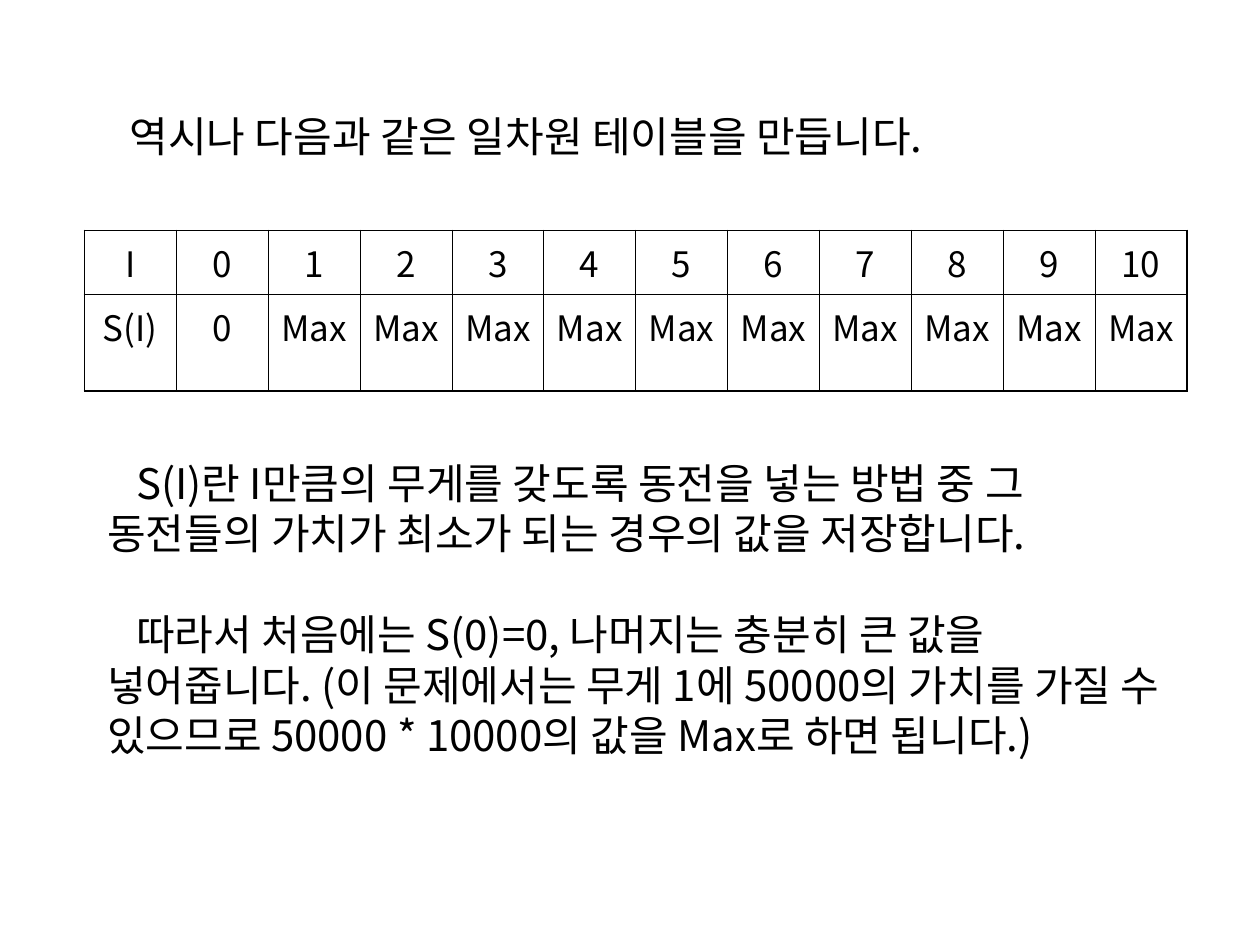
from dataclasses import dataclass

from lxml.etree import SubElement
from pptx import Presentation
from pptx.dml.color import RGBColor
from pptx.enum.text import MSO_ANCHOR, MSO_AUTO_SIZE, PP_ALIGN
from pptx.oxml.ns import qn
from pptx.util import Inches, Pt


@dataclass(frozen=True)
class Theme:
    font: str = "Noto Sans CJK KR"
    ink: str = "000000"
    body_size: float = 24
    cell_size: float = 20
    outer_line: float = 1.08
    inner_line: float = 0.45


class Lesson:
    def __init__(self, deck, theme):
        self.theme = theme
        self.page = deck.slides.add_slide(deck.slide_layouts[5])

    def style(self, para, size, align):
        para.alignment = align
        para.font.size = Pt(size)
        para.font.name = self.theme.font
        para.font.color.rgb = RGBColor.from_string(self.theme.ink)
        properties = para.font._element
        SubElement(properties, qn("a:ea")).set("typeface", self.theme.font)

    def fill_text(self, box, place, lines, indent, gap):
        box.left, box.top, box.width, box.height = map(Inches, place)
        frame = box.text_frame
        frame.word_wrap = True
        frame.auto_size = MSO_AUTO_SIZE.NONE
        frame.vertical_anchor = MSO_ANCHOR.MIDDLE
        frame.text = "\n".join(lines)
        for index, para in enumerate(frame.paragraphs):
            self.style(para, self.theme.body_size, PP_ALIGN.LEFT)
            para.space_before = Pt(gap if index else 0)
            para._p.get_or_add_pPr().set("indent", str(Inches(indent)))

    def title(self, place, lines, indent, gap):
        self.fill_text(self.page.shapes.title, place, lines, indent, gap)

    def text(self, place, line, indent):
        box = self.page.shapes.add_textbox(*map(Inches, place))
        self.fill_text(box, place, [line], indent, 0)

    def border(self, cell, edges):
        properties = cell._tc.get_or_add_tcPr()
        for position, (side, outer) in enumerate(edges.items()):
            width = self.theme.outer_line if outer else self.theme.inner_line
            line = properties.makeelement(qn(f"a:{side}"), {"w": str(Pt(width))})
            fill = SubElement(line, qn("a:solidFill"))
            SubElement(fill, qn("a:srgbClr")).set("val", self.theme.ink)
            properties.insert(position, line)

    def table(self, left, top, width, heights, rows):
        last_row, last_column = len(rows) - 1, len(rows[0]) - 1
        table = self.page.shapes.add_table(
            len(rows), len(rows[0]), Inches(left), Inches(top),
            Inches(width), Inches(sum(heights))).table
        table.first_row = table.horz_banding = False
        for column in table.columns:
            column.width = Inches(width / len(rows[0]))
        for r, values in enumerate(rows):
            table.rows[r].height = Inches(heights[r])
            for c, value in enumerate(values):
                cell = table.cell(r, c)
                cell.fill.background()
                cell.text = value
                para = cell.text_frame.paragraphs[0]
                self.style(para, self.theme.cell_size, PP_ALIGN.CENTER)
                para.space_before = Pt(5)
                self.border(cell, {"lnL": c == 0, "lnR": c == last_column,
                                   "lnT": r == 0, "lnB": r == last_row})


deck = Presentation()
deck.slide_width, deck.slide_height = Inches(10), Inches(7.5)
lesson = Lesson(deck, Theme())
lesson.title((0.75, 3.33, 8.58, 3), [
    "S(I)란 I만큼의 무게를 갖도록 동전을 넣는 방법 중 그 동전들의 가치가 "
    "최소가 되는 경우의 값을 저장합니다.",
    "따라서 처음에는 S(0)=0, 나머지는 충분히 큰 값을 넣어줍니다. "
    "(이 문제에서는 무게 1에 50000의 가치를 가질 수 있으므로 "
    "50000 * 10000의 값을 Max로 하면 됩니다.)",
], indent=0.23, gap=29)
lesson.text((0.75, 0.83, 8.58, 0.5),
            "역시나 다음과 같은 일차원 테이블을 만듭니다.", indent=0.18)
lesson.table(0.67, 1.83, 8.75, (0.5, 0.77), [
    ["I", *map(str, range(11))],
    ["S(I)", "0", *["Max"] * 10],
])
deck.save("out.pptx")
